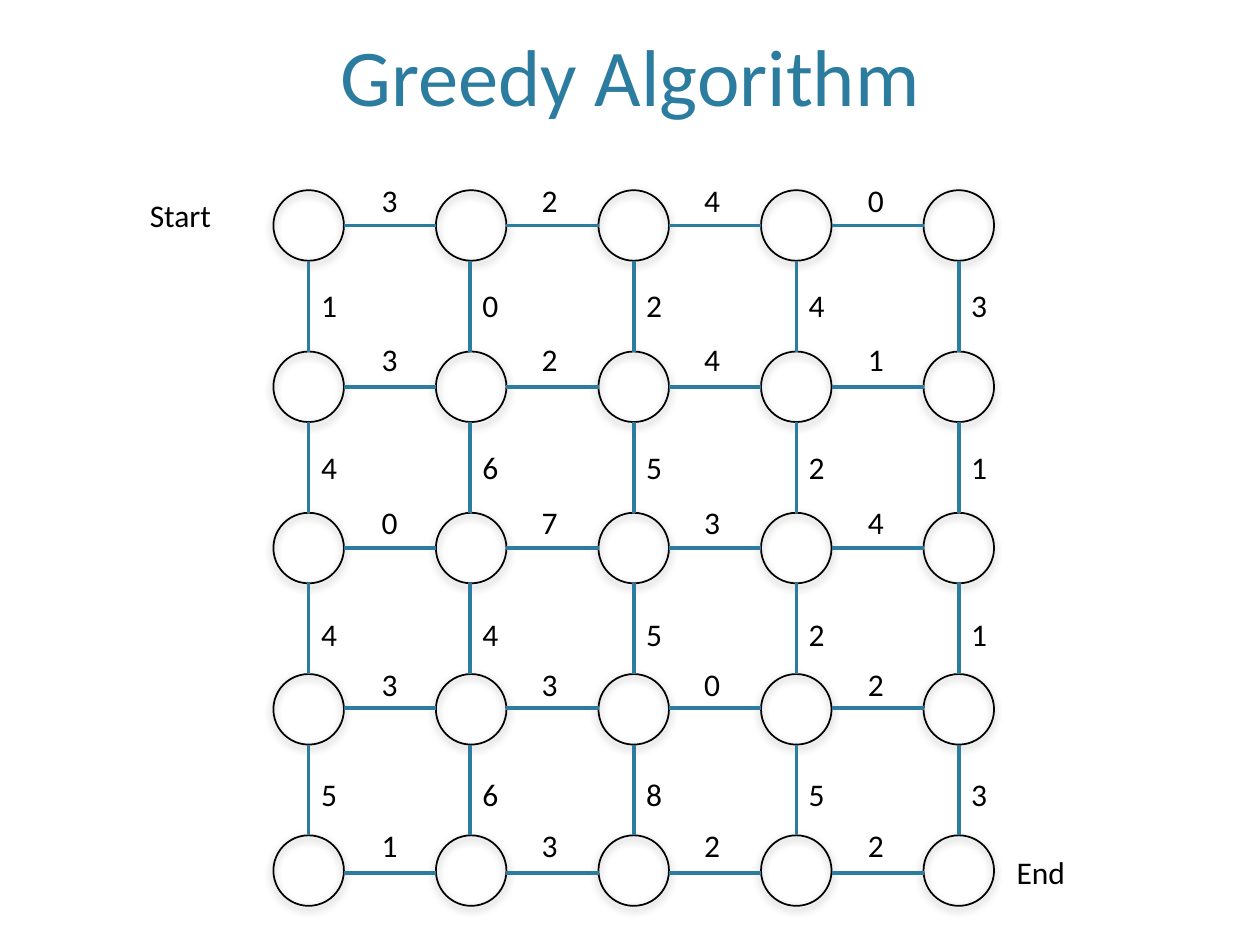
from lxml.etree import SubElement
from pptx import Presentation
from pptx.dml.color import RGBColor
from pptx.enum.shapes import MSO_CONNECTOR, MSO_SHAPE
from pptx.enum.text import MSO_ANCHOR, MSO_AUTO_SIZE, PP_ALIGN
from pptx.oxml.ns import qn
from pptx.util import Pt

# Content: edge weights of the 5 x 5 grid, row by row
TITLE = "Greedy Algorithm"
ACROSS = ["3240", "3241", "0734", "3302", "1322"]
DOWN = ["10243", "46521", "44521", "56853"]
CAPTIONS = [("Start", 109, 151, 81), ("End", 797, 672, 67)]

# Layout, at 100 px to the inch
PX = 9144
SIZE, N = 56, 5
COLS = [217 + 129 * i for i in range(N)]
ROWS = [151 + 128 * i for i in range(N)]
ACROSS_Y = [179, 307, 435, 562, 693]
DOWN_X = [245, 373, 503, 632, 761]
ACROSS_LABEL_X = [293, 420, 549, 679]
ACROSS_LABEL_Y = [139, 265, 394, 523, 651]
DOWN_LABEL_Y = [222, 351, 483, 610]
FONT, BLUE, BLACK = "Calibri", "2C7C9F", "000000"


def px(*values):
    return [int(v * PX) for v in values]


def rgb(value):
    return RGBColor.from_string(value)


def style_text(p, size, color):
    for r in p.runs:
        r.font.name, r.font.size = FONT, Pt(size)
        r.font.color.rgb = rgb(color)


def add_node(s, x, y):
    sp = s.shapes.add_shape(MSO_SHAPE.OVAL, *px(x, y, SIZE, SIZE))
    sp.fill.background()
    sp.line.color.rgb = rgb(BLACK)
    sp.line.width = Pt(1)
    # Soft shadow straight below
    sp.shadow.inherit = False
    effects = sp.element.spPr.find(qn("a:effectLst"))
    shadow = SubElement(effects, qn("a:outerShdw"), blurRad=str(Pt(5)),
                        dist=str(Pt(2)), dir="5400000", rotWithShape="0")
    color = SubElement(shadow, qn("a:srgbClr"), val=BLACK)
    SubElement(color, qn("a:alpha"), val="40000")


def add_edge(s, x1, y1, x2, y2):
    line = s.shapes.add_connector(MSO_CONNECTOR.STRAIGHT, *px(x1, y1, x2, y2))
    line.line.color.rgb = rgb(BLUE)
    line.line.width = Pt(2)
    SubElement(line.element.spPr, qn("a:effectLst"))


def add_label(s, text, x, y, width=36):
    tf = s.shapes.add_textbox(*px(x, y, width, 40)).text_frame
    tf.word_wrap = False
    tf.auto_size = MSO_AUTO_SIZE.SHAPE_TO_FIT_TEXT
    tf.text = text
    style_text(tf.paragraphs[0], 18, BLACK)


def main():
    prs = Presentation()
    prs.slide_width, prs.slide_height = px(1000, 750)
    s = prs.slides.add_slide(prs.slide_layouts[5])

    # Title
    title = s.shapes.title
    title.left, title.top, title.width, title.height = px(60, 12, 880, 90)
    tf = title.text_frame
    tf.text = TITLE
    tf.vertical_anchor = MSO_ANCHOR.BOTTOM
    tf.paragraphs[0].alignment = PP_ALIGN.CENTER
    style_text(tf.paragraphs[0], 46, BLUE)

    # Nodes
    for y in ROWS:
        for x in COLS:
            add_node(s, x, y)

    # Horizontal edges and their weights
    for weights, y, label_y in zip(ACROSS, ACROSS_Y, ACROSS_LABEL_Y):
        for i, weight in enumerate(weights):
            add_edge(s, COLS[i] + SIZE, y, COLS[i + 1], y)
            add_label(s, weight, ACROSS_LABEL_X[i], label_y)

    # Vertical edges and their weights
    for j, weights in enumerate(DOWN):
        for weight, x in zip(weights, DOWN_X):
            add_edge(s, x, ROWS[j + 1], x, ROWS[j] + SIZE)
            add_label(s, weight, x, DOWN_LABEL_Y[j])

    # Start and end captions
    for caption in CAPTIONS:
        add_label(s, *caption)

    prs.save("out.pptx")


if __name__ == "__main__":
    main()
